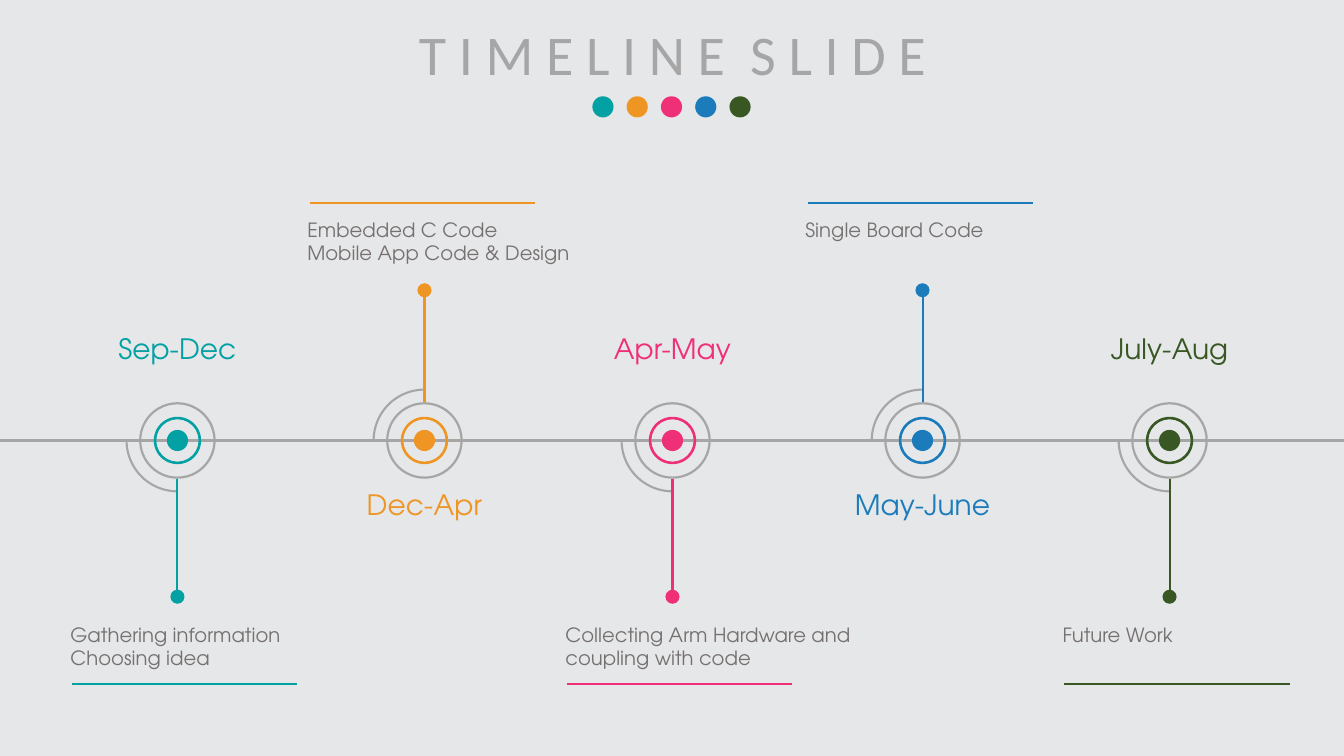
from itertools import pairwise
from pptx import Presentation
from pptx.dml.color import RGBColor
from pptx.enum.shapes import MSO_CONNECTOR, MSO_SHAPE
from pptx.enum.text import MSO_ANCHOR, MSO_AUTO_SIZE, PP_ALIGN
from pptx.oxml.ns import qn
from pptx.util import Inches, Pt
from lxml import etree

GRAY = "A6A6A6"
TEXT_GRAY = "767171"
AXIS_Y = 4.37
FONT = "TeX Gyre Adventor"

MILESTONES = [
    (1.76, "03A1A4", "Sep-Dec", ["Gathering information", "Choosing idea"]),
    (4.21, "EE9524", "Dec-Apr", ["Embedded C Code", "Mobile App Code & Design"]),
    (6.67, "EF3078", "Apr-May", ["Collecting Arm Hardware and coupling with code"]),
    (9.15, "1C7CBB", "May-June", ["Single Board Code"]),
    (11.6, "385723", "July-Aug", ["Future Work"]),
]

prs = Presentation()
prs.slide_width = Inches(13.33)
prs.slide_height = Inches(7.5)
s = prs.slides.add_slide(prs.slide_layouts[5])
s.background.fill.solid()
s.background.fill.fore_color.rgb = RGBColor.from_string("E6E7E9")


def add_line(x1, y1, x2, y2, color):
    c = s.shapes.add_connector(
        MSO_CONNECTOR.STRAIGHT, Inches(x1), Inches(y1), Inches(x2), Inches(y2))
    c.line.color.rgb = RGBColor.from_string(color)
    c.line.width = Pt(1.5)
    etree.SubElement(c._element.spPr, qn("a:effectLst"))


def add_round(kind, x, y, size, color, adj=()):
    sp = s.shapes.add_shape(
        kind, Inches(x - size / 2), Inches(y - size / 2), Inches(size), Inches(size))
    sp.shadow.inherit = False
    for i, value in enumerate(adj):
        sp.adjustments[i] = value
    if kind == MSO_SHAPE.ARC:
        sp.fill.background()
        sp.line.color.rgb = RGBColor.from_string(color)
        sp.line.width = Pt(1.5)
    else:
        sp.fill.solid()
        sp.fill.fore_color.rgb = RGBColor.from_string(color)
        sp.line.fill.background()
    return sp


title = s.shapes.title
title.left, title.top = Inches(2.69), Inches(0.14)
title.width, title.height = Inches(7.96), Inches(0.77)
tf = title.text_frame
tf.text = "T I M E L I N E  S L I D E"
tf.vertical_anchor = MSO_ANCHOR.TOP
tf.auto_size = MSO_AUTO_SIZE.NONE
p = tf.paragraphs[0]
p.alignment = PP_ALIGN.CENTER
p.font.name = "Calibri"
p.font.size = Pt(40)
p.font.color.rgb = RGBColor.from_string(GRAY)

stops = [0] + [m[0] for m in MILESTONES] + [13.33]
for start, end in pairwise(stops):
    add_line(start, AXIS_Y, end, AXIS_Y, GRAY)

for i, (x, color, date, tasks) in enumerate(MILESTONES):
    above = i % 2 == 1
    if above:
        stem_start, stem_end, knob_y = 3.99, 2.86, 2.88
        date_y, task_x, task_y, rule_x, rule_y = 4.79, x - 1.26, 2.11, x - 1.14, 2.01
    else:
        stem_start, stem_end, knob_y = 4.75, 5.88, 5.92
        date_y, task_x, task_y, rule_x, rule_y = 3.24, x - 1.16, 6.13, x - 1.05, 6.79

    arc = add_round(MSO_SHAPE.ARC, x, AXIS_Y, 1.01, GRAY, (54.2, 108.53))
    arc.rotation = 90 if above else 0
    add_round(MSO_SHAPE.OVAL, x, AXIS_Y, 0.21, color)
    add_round(MSO_SHAPE.DONUT, x, AXIS_Y, 0.47, color, (0.053,))
    add_round(MSO_SHAPE.DONUT, x, AXIS_Y, 0.76, GRAY, (0.029,))
    add_line(x, stem_start, x, stem_end, color)
    add_round(MSO_SHAPE.OVAL, x, knob_y, 0.14, color)
    add_line(rule_x, rule_y, rule_x + 2.24, rule_y, color)
    add_round(MSO_SHAPE.OVAL, 5.98 + 0.34 * i, 1.06, 0.21, color)

    task_h = 0.34 if i > 2 else 0.57
    for left, top, width, height, lines, size, ink, align in [
        (x - 0.83, date_y, 1.66, 0.44, [date], 20, color, PP_ALIGN.CENTER),
        (task_x, task_y, 3.5, task_h, tasks, 14, TEXT_GRAY, PP_ALIGN.LEFT),
    ]:
        tb = s.shapes.add_textbox(Inches(left), Inches(top), Inches(width), Inches(height))
        tf = tb.text_frame
        tf.word_wrap = True
        tf.text = "\n".join(lines)
        for p in tf.paragraphs:
            p.alignment = align
            p.font.name = FONT
            p.font.size = Pt(size)
            p.font.color.rgb = RGBColor.from_string(ink)

prs.save("out.pptx")
